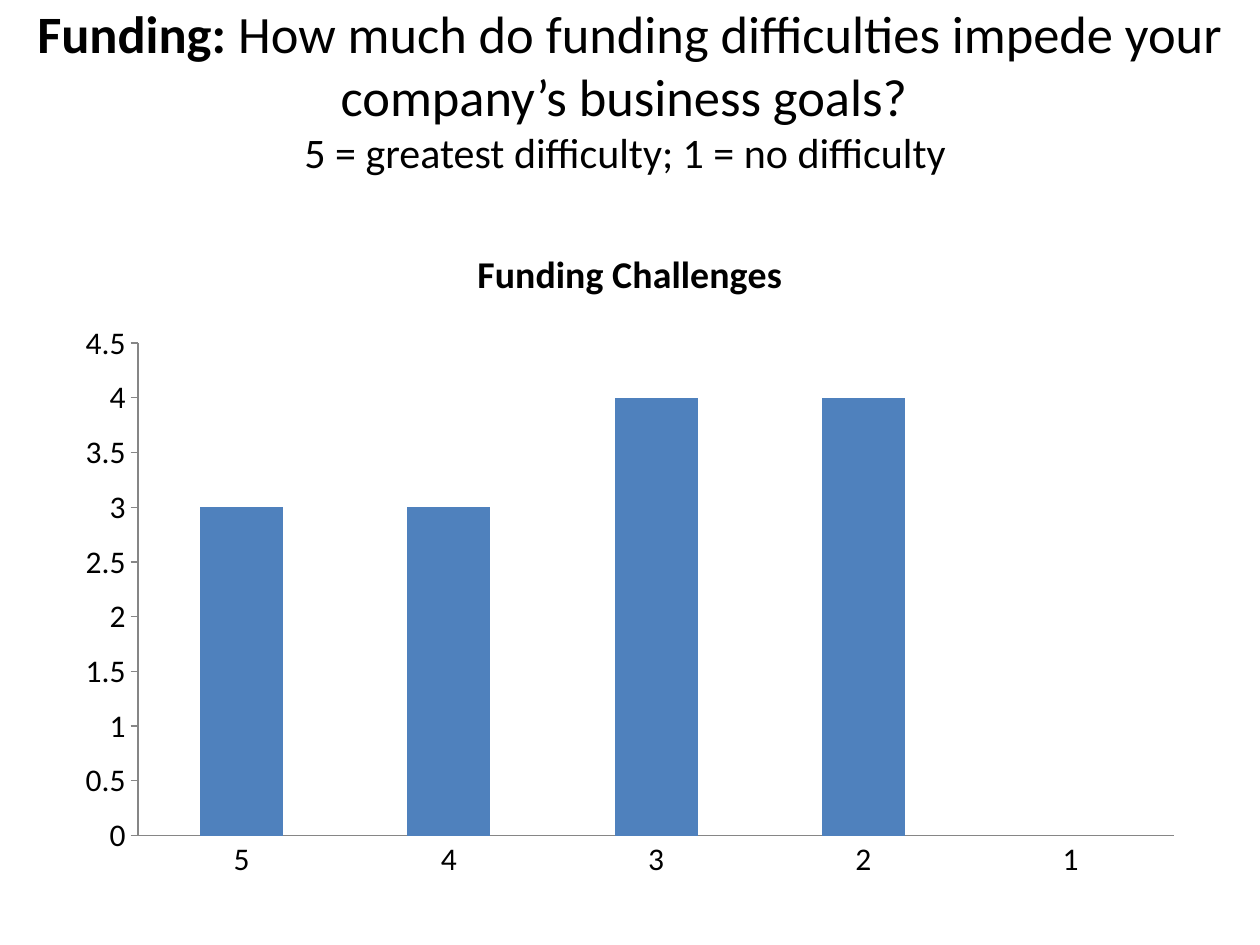
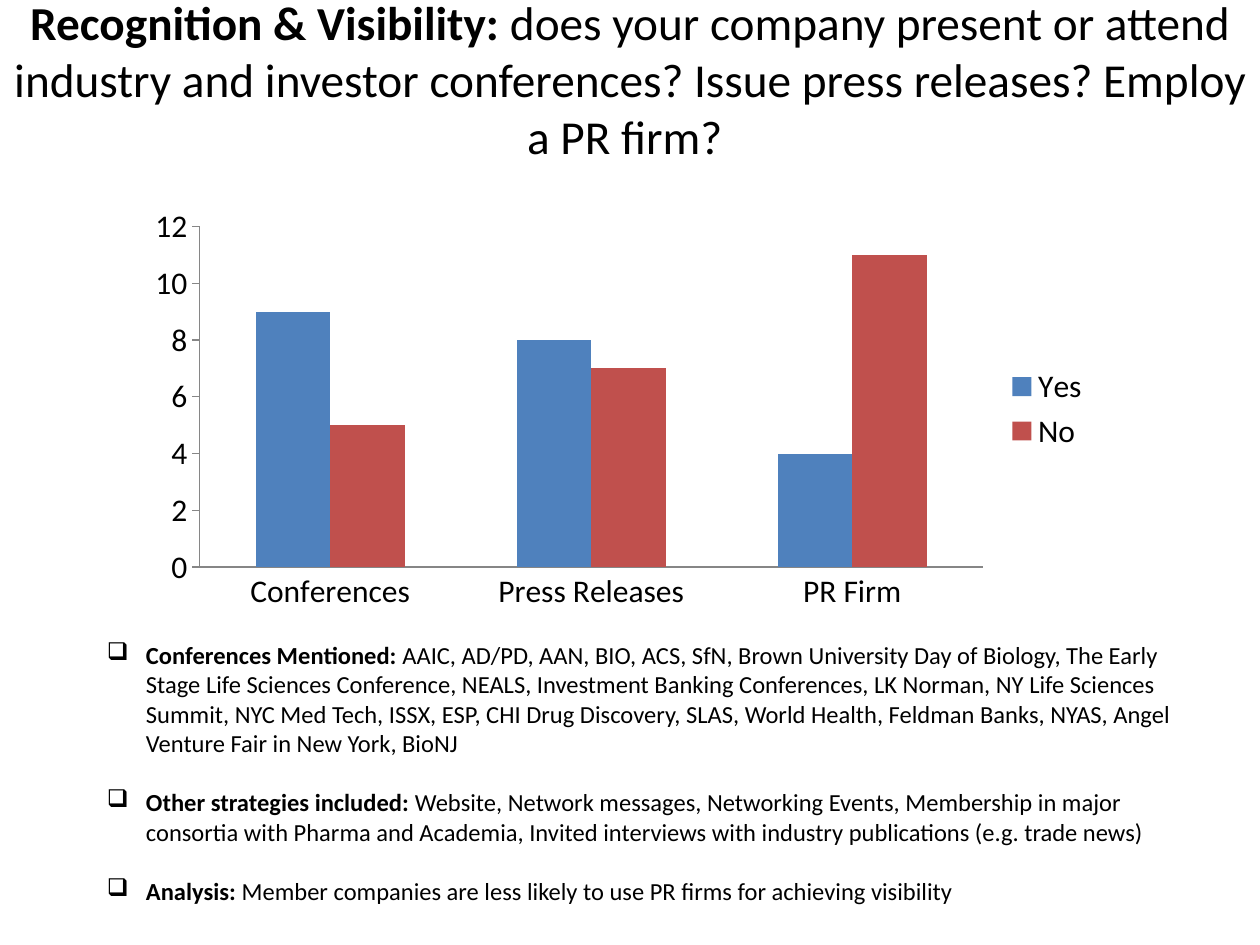
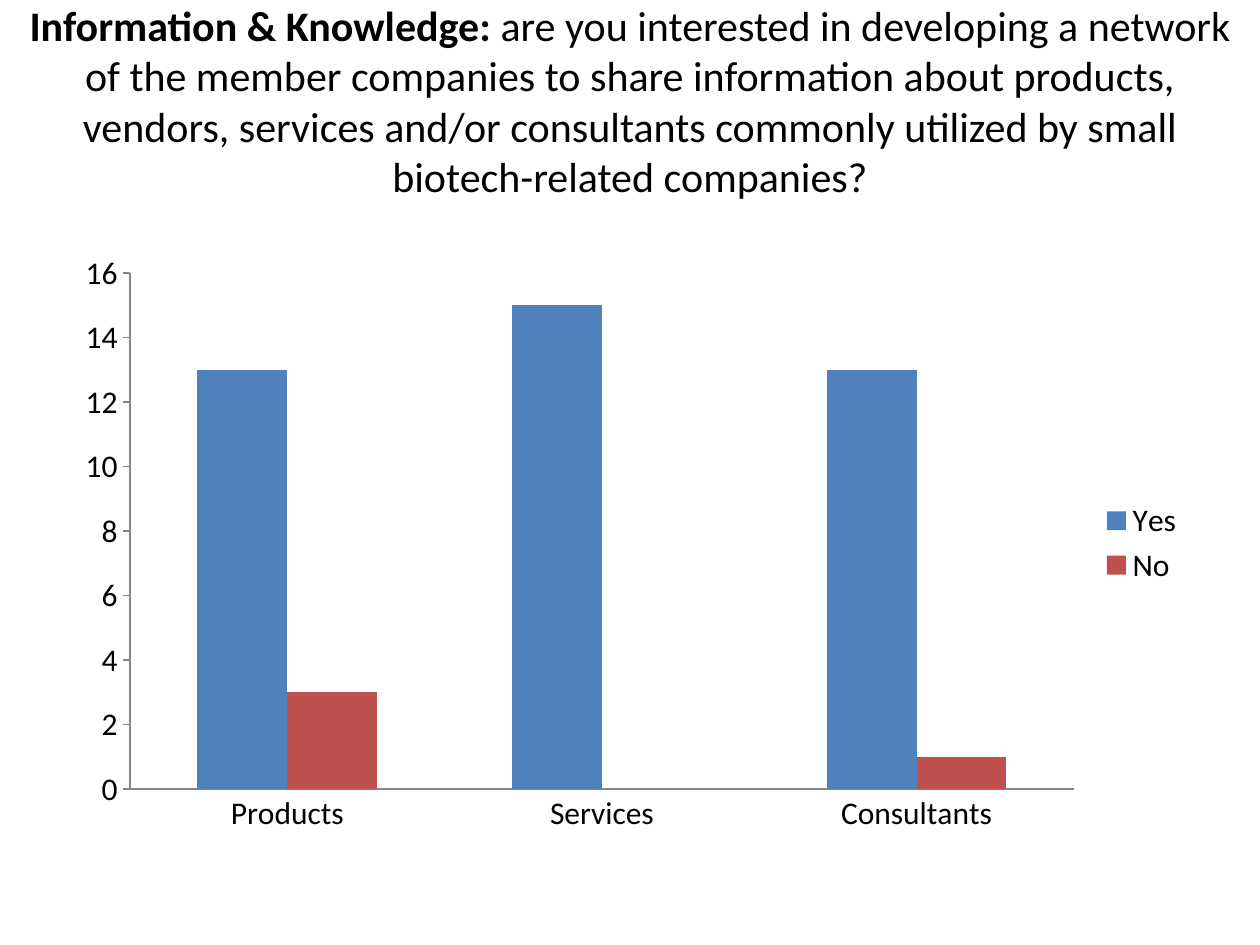
from lxml import etree
from pptx import Presentation
from pptx import util as u
from pptx.chart import data as cd
from pptx.dml import color as dml
from pptx.enum import chart as ch, text as tx
from pptx.oxml import ns

INK = {"text": "000000", "axis": "868686", "yes": "4F81BD", "no": "C0504D"}
FONT = "Calibri"
BREAK = "\n"


class Deck:
    def __init__(self):
        self.prs = Presentation()
        self.prs.slide_width = u.Inches(10)
        self.prs.slide_height = u.Inches(7.5)
        self.slide = None

    def hue(self, name):
        return dml.RGBColor.from_string(INK[name])

    def style(self, font, size, bold=False):
        font.name = FONT
        font.size = u.Pt(size)
        font.bold = bold
        font.color.rgb = self.hue("text")

    def run(self, para, words, size, bold=False):
        run = para.add_run()
        run.text = words
        self.style(run.font, size, bold)

    def title(self, top, size, lead, words, hint=None):
        self.slide = self.prs.slides.add_slide(self.prs.slide_layouts[5])
        box = self.slide.shapes.title
        box.left, box.top = u.Inches(0), u.Inches(top)
        box.width, box.height = self.prs.slide_width, u.Inches(1.25)
        frame = box.text_frame
        frame.word_wrap = True
        frame.auto_size = tx.MSO_AUTO_SIZE.NONE
        frame.vertical_anchor = tx.MSO_ANCHOR.MIDDLE
        para = frame.paragraphs[0]
        para.alignment = tx.PP_ALIGN.CENTER
        self.run(para, lead + " ", size, True)
        self.run(para, words, size)
        if hint:
            para.add_line_break()
            self.run(para, hint, 24)

    def list(self, area, items, size=14, gap=17):
        box = self.slide.shapes.add_textbox(*map(u.Inches, area))
        frame = box.text_frame
        frame.word_wrap = True
        for i, (lead, words) in enumerate(items):
            para = frame.add_paragraph() if i else frame.paragraphs[0]
            props = para._p.get_or_add_pPr()
            props.set("marL", str(u.Inches(0.31)))
            props.set("indent", str(u.Inches(-0.31)))
            etree.SubElement(props, ns.qn("a:buChar")).set("char", "❑")
            if i:
                para.space_before = u.Pt(gap)
            self.run(para, lead + " ", size, True)
            self.run(para, words, size)

    def axis(self, axis, tick):
        axis.has_major_gridlines = False
        axis.major_tick_mark = tick
        axis.minor_tick_mark = ch.XL_TICK_MARK.NONE
        axis.format.line.color.rgb = self.hue("axis")
        axis.format.line.width = u.Pt(0.75)

    def chart(self, area, cats, rows, head=None):
        data = cd.CategoryChartData()
        data.categories = cats
        for name, vals in rows:
            data.add_series(name, vals)
        chart = self.slide.shapes.add_chart(
            ch.XL_CHART_TYPE.COLUMN_CLUSTERED, *map(u.Inches, area), data).chart
        self.style(chart.font, 18)
        self.axis(chart.category_axis, ch.XL_TICK_MARK.NONE)
        self.axis(chart.value_axis, ch.XL_TICK_MARK.OUTSIDE)
        plot = chart.plots[0]
        plot.gap_width = 150
        plot.overlap = 0
        plot.vary_by_categories = False
        for row, name in zip(plot.series, ("yes", "no")):
            row.format.fill.solid()
            row.format.fill.fore_color.rgb = self.hue(name)
        chart.has_title = bool(head)
        if head:
            self.run(chart.chart_title.text_frame.paragraphs[0], head, 21.6, True)
        chart.has_legend = len(rows) > 1
        if chart.has_legend:
            chart.legend.position = ch.XL_LEGEND_POSITION.RIGHT
            chart.legend.include_in_layout = False
            self.style(chart.legend.font, 18)


def main():
    deck = Deck()

    deck.title(0.08, 30, "Funding:",
               "How much do funding difficulties impede your company’s business goals? ",
               "5 = greatest difficulty; 1 = no difficulty ")
    deck.chart((0.5, 1.75, 9, 5.33), ["5", "4", "3", "2", "1"],
               [("Funding Challenges", (3, 3, 4, 4, None))], "Funding Challenges")

    deck.title(0, 27, "Recognition & Visibility:",
               "does your company present or attend industry and investor conferences? "
               "Issue press releases? Employ a PR firm? ")
    deck.chart((1.08, 1.58, 7.67, 3.33), ["Conferences", "Press Releases", "PR Firm"],
               [("Yes", (9, 8, 4)), ("No", (5, 7, 11))])
    deck.list((0.75, 5.03, 8.75, 2.22), [
        ("Conferences Mentioned:",
         "AAIC, AD/PD, AAN, BIO, ACS, SfN, Brown University Day of Biology, "
         "The Early Stage Life Sciences Conference, NEALS, Investment Banking "
         "Conferences, LK Norman, NY Life Sciences Summit, NYC Med Tech, ISSX, ESP, "
         "CHI Drug Discovery, SLAS, World Health, Feldman Banks, NYAS, "
         "Angel Venture Fair in New York, BioNJ"),
        ("Other strategies included:",
         "Website, Network messages, Networking Events, Membership in major consortia "
         "with Pharma and Academia, Invited interviews with industry publications "
         "(e.g. trade news)"),
        ("Analysis:",
         "Member companies are less likely to use PR firms for achieving visibility"),
    ])

    deck.title(0.17, 24, "Information & Knowledge:",
               "are you interested in developing a network of the member companies to "
               "share information about products, vendors, services and/or consultants "
               "commonly utilized by small biotech-related companies?")
    deck.chart((0.5, 1.92, 9, 4.78), ["Products", "Services", "Consultants"],
               [("Yes", (13, 15, 13)), ("No", (3, 0, 1))])

    deck.prs.save("out.pptx")


if __name__ == "__main__":
    main()
